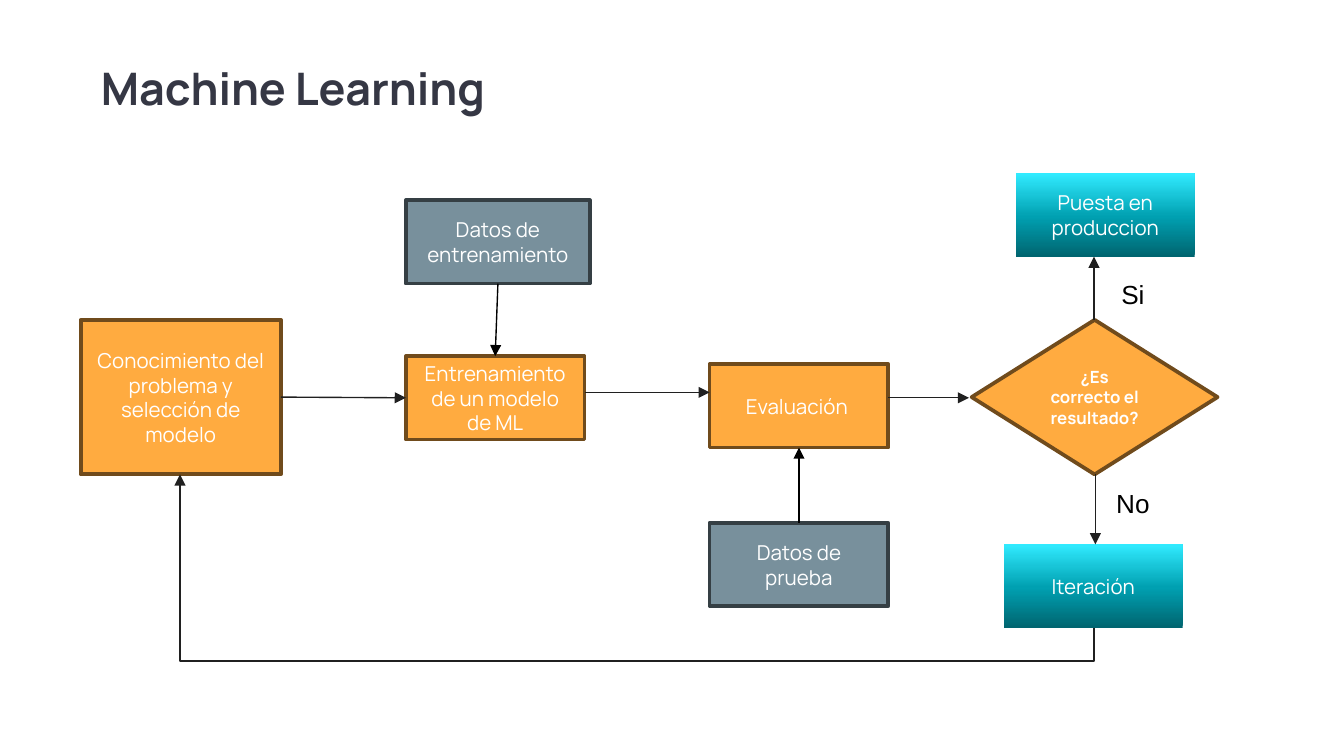
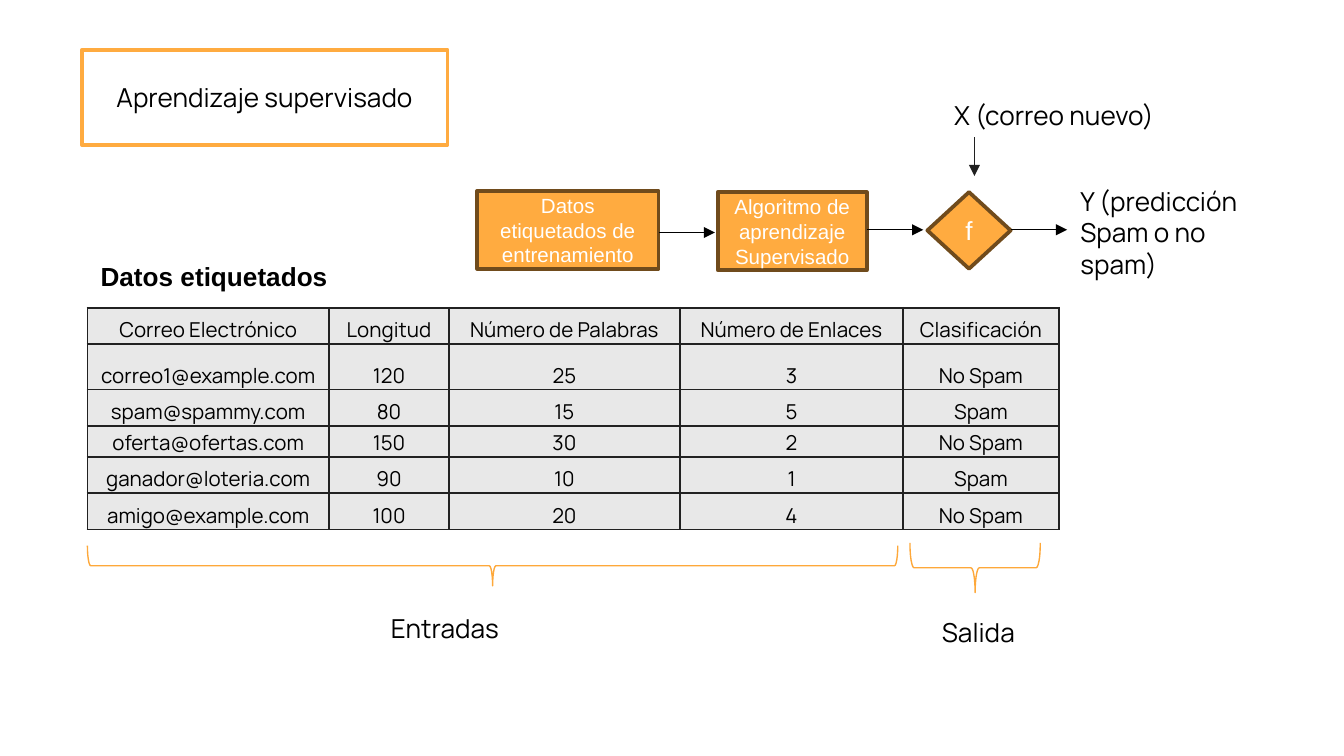
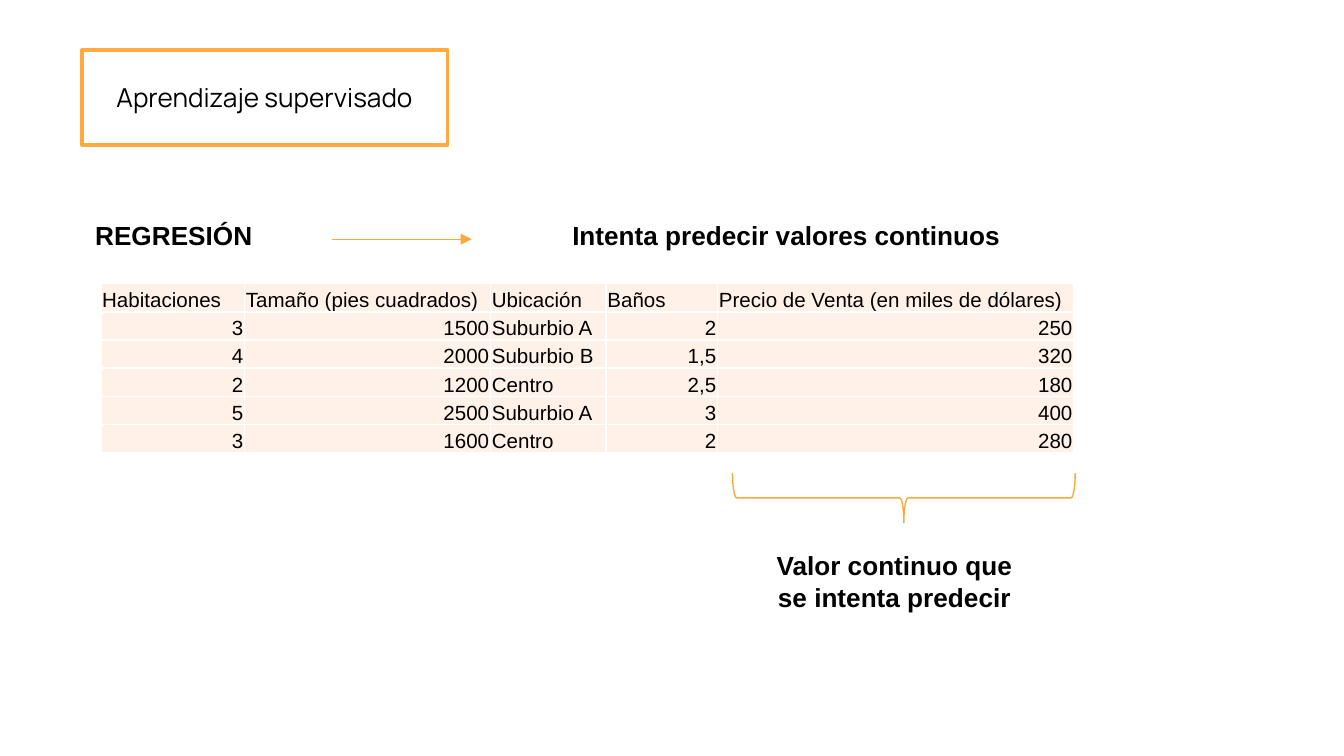
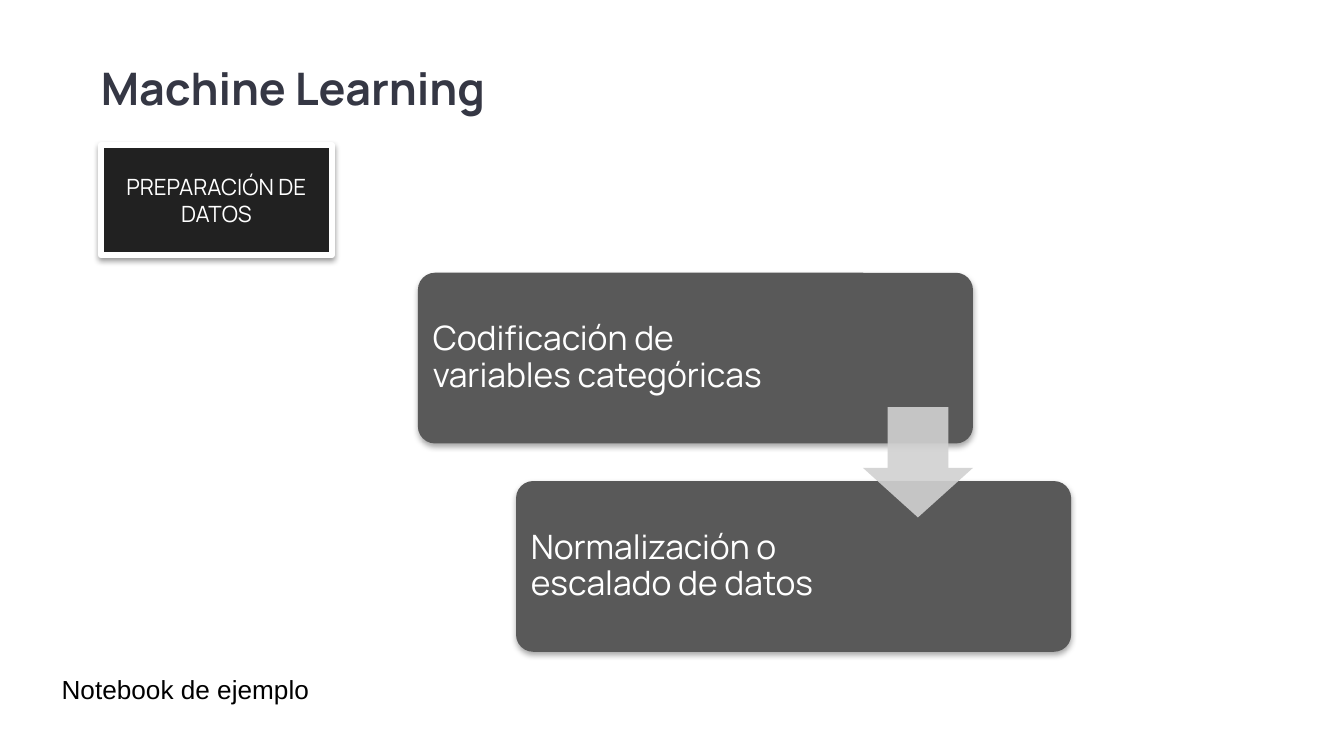
"""Builds four slides on machine learning: the work flow, supervised learning, regression and data preparation."""
from copy import deepcopy

from lxml.etree import SubElement
from pptx import Presentation
from pptx.dml.color import RGBColor
from pptx.enum.shapes import MSO_CONNECTOR as Link, MSO_SHAPE as Form
from pptx.enum.text import MSO_ANCHOR as Anchor, MSO_AUTO_SIZE as Fit, PP_ALIGN as Align
from pptx.oxml import parse_xml
from pptx.oxml.ns import nsdecls, qn
from pptx.util import Inches, Pt

WHITE = RGBColor(0xFF, 0xFF, 0xFF)
BLACK = RGBColor(0, 0, 0)
INK = RGBColor(0x35, 0x37, 0x44)
DARK = RGBColor(0x21, 0x21, 0x21)
WIRE = RGBColor(0x20, 0x20, 0x20)
AMBER = RGBColor(0xFF, 0xAB, 0x40)
GOLD = RGBColor(0xFE, 0xA8, 0x3A)
BROWN = RGBColor(0x70, 0x4B, 0x1C)
STEEL = RGBColor(0x78, 0x90, 0x9C)
SLATE = RGBColor(0x35, 0x3F, 0x44)
GRAY = RGBColor(0x59, 0x59, 0x59)
SILVER = RGBColor(0xD1, 0xD1, 0xD1)
PALE = RGBColor(0xE8, 0xE8, 0xE8)
PEACH = RGBColor(0xFF, 0xF1, 0xE8)
TEAL = [(0, RGBColor(0, 0x65, 0x70)), (0.48, RGBColor(0, 0xA0, 0xB1)), (1, RGBColor(0x31, 0xEB, 0xFF))]

MAIN, PLAIN = "Manrope", "Arial"
WIDTH = Inches(10)
HEIGHT = WIDTH * 9 // 16
COL = WIDTH // 10
TITLE = (0.75, 0.5, 7.44, 0.43)
TOPIC = (0.61, 0.37, 2.72, 0.71)

STEP = dict(fill=AMBER, edge=BROWN)
DATA = dict(fill=STEEL, edge=SLATE)
GOAL = dict(fill=TEAL)
CARD = (1.33, 0.62)

FLOW = {
    "know": ("Conocimiento del problema y selección de modelo", (0.6, 2.38, 1.49, 1.15), STEP),
    "train": ("Entrenamiento de un modelo de ML", (3.02, 2.65, *CARD), STEP),
    "test": ("Evaluación ", (5.28, 2.71, *CARD), STEP),
    "feed": ("Datos de entrenamiento", (3.02, 1.49, 1.37, 0.62), DATA),
    "probe": ("Datos de prueba", (5.28, 3.89, *CARD), DATA),
    "ship": ("Puesta en produccion", (7.56, 1.29, *CARD), GOAL),
    "loop": ("Iteración", (7.47, 4.05, *CARD), GOAL),
    "ask": ("¿Es correcto el resultado?", (7.23, 2.38, 1.83, 1.15),
            dict(STEP, form=Form.DIAMOND, size=9, bold=True)),
}
JOINS = [("know", 3, "train", 1, WIRE), ("feed", 2, "train", 0, BLACK), ("probe", 0, "test", 2, BLACK)]

MAIL = [
    ("Correo Electrónico", "Longitud", "Número de Palabras", "Número de Enlaces", "Clasificación"),
    ("correo1@example.com", "120", "25", "3", "No Spam"),
    ("spam@spammy.com", "80", "15", "5", "Spam"),
    ("oferta@ofertas.com", "150", "30", "2", "No Spam"),
    ("ganador@loteria.com", "90", "10", "1", "Spam"),
    ("amigo@example.com", "100", "20", "4", "No Spam"),
]
HOMES = [
    ("Habitaciones", "Tamaño (pies cuadrados)", "Ubicación", "Baños", "Precio de Venta (en miles de dólares)"),
    ("3", "1500", "Suburbio A", "2", "250"),
    ("4", "2000", "Suburbio B", "1,5", "320"),
    ("2", "1200", "Centro", "2,5", "180"),
    ("5", "2500", "Suburbio A", "3", "400"),
    ("3", "1600", "Centro", "2", "280"),
]
TASKS = [("Codificación de variables categóricas", 2.82), ("Normalización o escalado de datos", 2.5)]


def grid(*cols):
    return [round(COL * n) for n in cols]


def write(frame, text, size, face, color, bold=False, align=Align.LEFT, lead=None):
    for i, line in enumerate(text.split("\n")):
        para = frame.add_paragraph() if i else frame.paragraphs[0]
        para.alignment = align
        if lead:
            para.line_spacing = lead
        run = para.add_run()
        run.text = line
        font = run.font
        font.size, font.name, font.bold = Pt(size), face, bold
        font.color.rgb = color


def inset(frame, left, top, right, low):
    frame.margin_left, frame.margin_top, frame.margin_right, frame.margin_bottom = grid(left, top, right, low)


def paint(shape, fill, edge=None, weight=2):
    if isinstance(fill, list):
        shape.fill.gradient()
        shape.fill.gradient_angle = 90
        stops = shape.element.spPr.find(".//" + qn("a:gsLst"))
        stops.append(deepcopy(stops[-1]))
        for stop, (pos, color) in zip(shape.fill.gradient_stops, fill):
            stop.position, stop.color.rgb = pos, color
    elif fill is None:
        shape.fill.background()
    else:
        shape.fill.solid()
        shape.fill.fore_color.rgb = fill
    if edge is None:
        shape.line.fill.background()
    else:
        shape.line.color.rgb = edge
        shape.line.width = Pt(weight)


def box(slide, spot, fill, edge=None, weight=2, form=Form.RECTANGLE, text="", size=11,
        face=MAIN, bold=False):
    shape = slide.shapes.add_shape(form, *grid(*spot))
    shape.shadow.inherit = False
    paint(shape, fill, edge, weight)
    if text:
        frame = shape.text_frame
        frame.word_wrap, frame.vertical_anchor = True, Anchor.MIDDLE
        write(frame, text, size, face, WHITE, bold, Align.CENTER)
    return shape


def shade(shape, alpha, drop):
    effects = shape.element.spPr.find(qn("a:effectLst"))
    cast = SubElement(effects, qn("a:outerShdw"), blurRad=str(Pt(3.1)), dist=str(Pt(drop)),
                      dir="5400000", algn="t", rotWithShape="0")
    color = SubElement(cast, qn("a:srgbClr"), val=str(BLACK))
    SubElement(color, qn("a:alpha"), val=str(alpha * 1000))


def note(slide, spot, text, face=PLAIN, bold=False, align=Align.LEFT):
    frame = slide.shapes.add_textbox(*grid(*spot)).text_frame
    frame.word_wrap, frame.auto_size = True, Fit.SHAPE_TO_FIT_TEXT
    write(frame, text, 14, face, BLACK, bold, align)


def arrow(slide, start, end, color=BLACK, kind=Link.STRAIGHT):
    wire = slide.shapes.add_connector(kind, *grid(*start, *end))
    wire.line.color.rgb, wire.line.width = color, Pt(0.75)
    props = wire.element.spPr
    SubElement(props.find(qn("a:ln")), qn("a:tailEnd"), type="triangle")
    SubElement(props, qn("a:effectLst"))
    return wire


def bend(slide, start, end, low):
    (x, y), (left, top) = start, end
    rise, run = y - top, x - left
    midx, midy = (x + left) / 2, (y + top) / 2
    wire = arrow(slide, (midx + rise / 2, midy - run / 2), (midx - rise / 2, midy + run / 2), WIRE, Link.ELBOW)
    props = wire.element.spPr
    props.find(qn("a:xfrm")).set("rot", "5400000")
    shift = round((y - low) / rise * 100000)
    guides = props.find(qn("a:prstGeom")).get_or_add_avLst()
    SubElement(guides, qn("a:gd"), name="adj1", fmla=f"val {shift}")


def brace(slide, left, top, width, depth):
    spot = (left + (width - depth) / 2, top + (depth - width) / 2, depth, width)
    box(slide, spot, None, GOLD, 0.75, Form.RIGHT_BRACE).rotation = 90


def table(slide, left, top, cols, rows, data, fill, edge, face, align):
    spot = grid(left, top, sum(cols), sum(rows))
    chart = slide.shapes.add_table(len(rows), len(cols), *spot).table
    chart.first_row = chart.horz_banding = False
    for part, size in zip(chart.columns, grid(*cols)):
        part.width = size
    for part, size in zip(chart.rows, grid(*rows)):
        part.height = size
    for r, line in enumerate(data):
        for c, text in enumerate(line):
            cell = chart.cell(r, c)
            inset(cell, 0.01, 0.01, 0.01, 0)
            cell.vertical_anchor = Anchor.BOTTOM
            cell.fill.solid()
            cell.fill.fore_color.rgb = fill
            write(cell.text_frame, text, 11, face, BLACK, align=align(text))
            props = cell._tc.get_or_add_tcPr()
            for i, side in enumerate("LRTB"):
                props.insert(i, parse_xml(
                    f'<a:ln{side} {nsdecls("a")} w="{Pt(1)}"><a:solidFill><a:srgbClr val="{edge}"/>'
                    f'</a:solidFill></a:ln{side}>'))


def head(deck, text, topic=False):
    slide = deck.slides.add_slide(deck.slide_layouts[5])
    title = slide.shapes.title
    title.left, title.top, title.width, title.height = grid(*(TOPIC if topic else TITLE))
    frame = title.text_frame
    frame.word_wrap, frame.auto_size = True, Fit.NONE
    if topic:
        paint(title, WHITE, AMBER)
        frame.vertical_anchor = Anchor.MIDDLE
        write(frame, text, 14, MAIN, BLACK, align=Align.CENTER)
    else:
        frame.vertical_anchor = Anchor.TOP
        inset(frame, 0, 0, 0, 0)
        write(frame, text, 24, MAIN, INK, True, lead=0.9)
    return slide


def flow(deck):
    slide = head(deck, "Machine Learning")
    nodes = {key: box(slide, spot, text=text, **look) for key, (text, spot, look) in FLOW.items()}
    for tail, out, tip, into, color in JOINS:
        wire = arrow(slide, (0, 0), (1, 1), color)
        wire.begin_connect(nodes[tail], out)
        wire.end_connect(nodes[tip], into)
    arrow(slide, (4.35, 2.92), (5.28, 2.92), WIRE)
    arrow(slide, (6.61, 2.96), (7.21, 2.96), WIRE)
    for x, start, end, text, top in ((8.14, 2.38, 1.91, "Si", 2.02), (8.15, 3.53, 4.05, "No", 3.58)):
        arrow(slide, (x, start), (x, end), WIRE)
        note(slide, (7.91, top, 1.04, 0.34), text, align=Align.CENTER)
    bend(slide, (8.14, 4.67), (1.34, 3.53), 4.92)


def mail(deck):
    slide = head(deck, "Aprendizaje supervisado", True)
    table(slide, 0.65, 2.29, (1.8, 0.89, 1.72, 1.66, 1.16), (0.27, 0.34, 0.27, 0.23, 0.27, 0.27),
          MAIL, PALE, DARK, MAIN, lambda text: Align.CENTER)
    note(slide, (0.65, 1.89, 2.3, 0.34), "Datos etiquetados", bold=True)
    brace(slide, 0.65, 4.06, 6.03, 0.3)
    brace(slide, 6.77, 4.04, 0.97, 0.37)
    note(slide, (2.81, 4.51, 1.64, 0.34), "Entradas", MAIN)
    note(slide, (6.91, 4.54, 1.64, 0.34), "Salida", MAIN)
    chain = [
        ((3.55, 1.42, 1.35, 0.58), "Datos etiquetados de entrenamiento", 1.73, {}),
        ((5.34, 1.43, 1.11, 0.58), "Algoritmo de aprendizaje Supervisado", 1.71, {}),
        ((6.9, 1.43, 0.62, 0.57), "f", 1.71, dict(form=Form.DIAMOND, size=14)),
    ]
    for spot, text, y, look in chain:
        box(slide, spot, text=text, face=PLAIN, **STEP, **look)
        x = spot[0] + spot[2]
        arrow(slide, (x, y), (x + 0.42, y))
    arrow(slide, (7.25, 1.02), (7.25, 1.31), WIRE)
    note(slide, (7, 0.69, 1.89, 0.34), "X (correo nuevo)", MAIN)
    note(slide, (7.94, 1.33, 1.66, 0.81), "Y (predicción\nSpam o no spam)", MAIN)


def homes(deck):
    slide = head(deck, "Aprendizaje supervisado", True)
    note(slide, (0.61, 1.58, 2.14, 0.34), "REGRESIÓN", bold=True)
    arrow(slide, (2.47, 1.78), (3.51, 1.78), GOLD)
    note(slide, (4.16, 1.58, 3.54, 0.34), "Intenta predecir valores continuos", bold=True)
    table(slide, 0.75, 2.11, (1.07, 1.83, 0.86, 0.83, 2.65), [0.21] * len(HOMES), HOMES, PEACH, WHITE,
          PLAIN, lambda text: Align.RIGHT if text[0].isdigit() else Align.LEFT)
    brace(slide, 5.45, 3.52, 2.55, 0.37)
    note(slide, (5.6, 4.04, 2.11, 0.57), "Valor continuo que se intenta predecir",
         bold=True, align=Align.CENTER)


def prep(deck):
    slide = head(deck, "Machine Learning")
    shade(box(slide, (0.75, 1.08, 1.72, 0.82), DARK, WHITE, 3, text="PREPARACIÓN DE DATOS", size=12), 38, 1.6)
    for i, (text, width) in enumerate(TASKS):
        left, top = 3.11 + 0.73 * i, 2.03 + 1.55 * i
        card = box(slide, (left, top, 4.13, 1.27), GRAY, form=Form.ROUNDED_RECTANGLE)
        card.adjustments[0] = 0.1
        shade(card, 35, 1.8)
        frame = slide.shapes.add_textbox(*grid(left + 0.04, top + 0.04, width, 1.19)).text_frame
        frame.word_wrap, frame.vertical_anchor = True, Anchor.MIDDLE
        inset(frame, 0.07, 0.07, 0.07, 0.07)
        write(frame, text, 18, MAIN, WHITE, lead=0.9)
    down = box(slide, (6.42, 3.03, 0.82, 0.82), SILVER, form=Form.DOWN_ARROW)
    down.adjustments[0], down.adjustments[1] = 0.55, 0.45
    color = down.element.spPr.find(qn("a:solidFill"))[0]
    SubElement(color, qn("a:alpha"), val="90000")
    note(slide, (0.36, 4.96, 2.75, 0.34), "Notebook de ejemplo")


def main():
    deck = Presentation()
    deck.slide_width, deck.slide_height = WIDTH, HEIGHT
    for build in (flow, mail, homes, prep):
        build(deck)
    deck.save("out.pptx")


if __name__ == "__main__":
    main()
